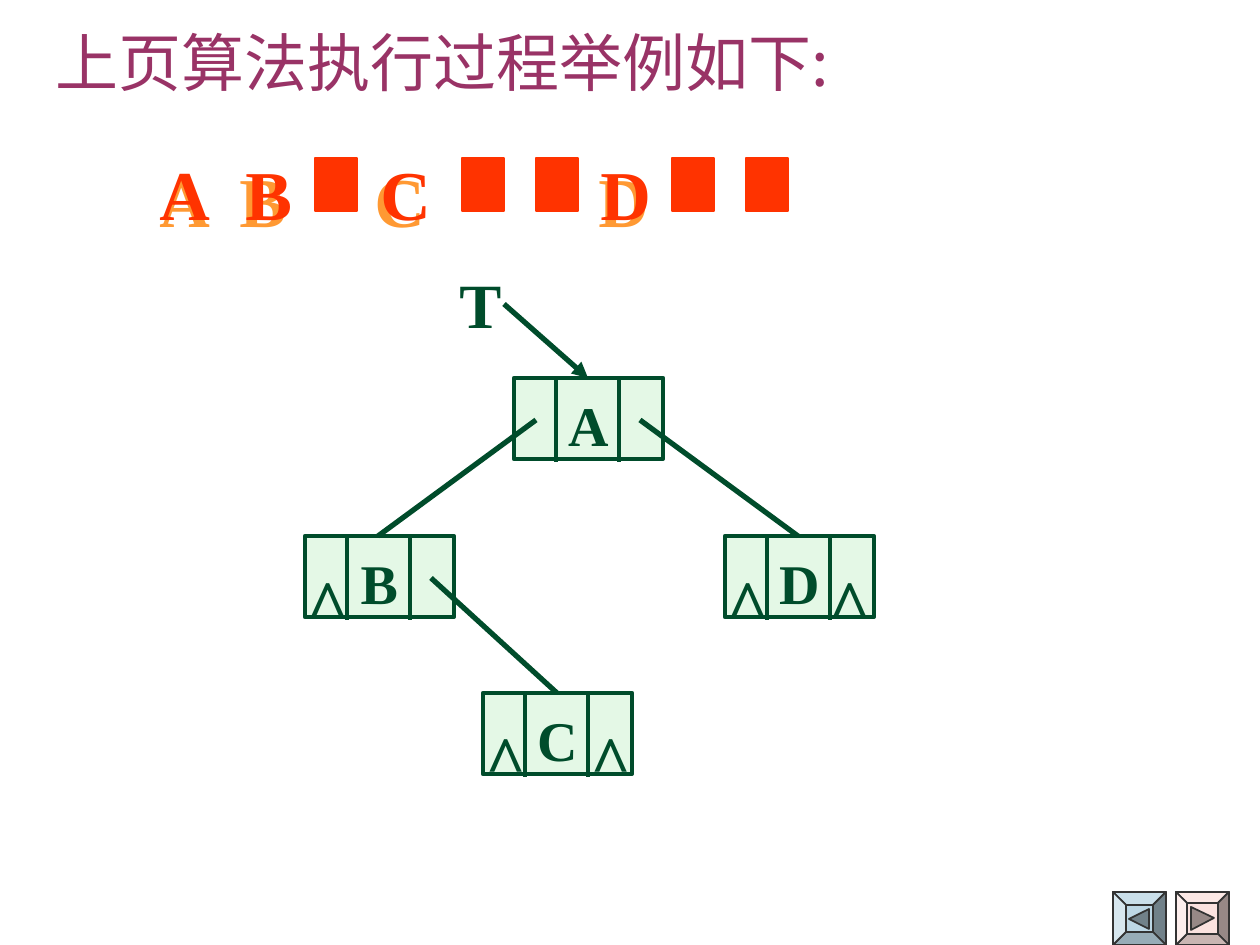
"""Build the slide that traces the binary tree construction algorithm."""
import pptx
import pptx.dml.color
import pptx.enum.shapes
import pptx.enum.text
import pptx.oxml
import pptx.oxml.ns
import pptx.util

RGB = pptx.dml.color.RGBColor
SHAPES = pptx.enum.shapes.MSO_SHAPE
ALIGN = pptx.enum.text.PP_ALIGN
PX = 914400 / 126

PLUM = RGB(0x99, 0x33, 0x66)
ORANGE = RGB(0xFF, 0x99, 0x33)
RED = RGB(0xFF, 0x33, 0x00)
GREEN = RGB(0x00, 0x4C, 0x2B)
MINT = RGB(0xCA, 0xF2, 0xCE)
CHARCOAL = RGB(0x33, 0x33, 0x33)
SERIF = "Times New Roman"
CHINESE = "Noto Sans CJK SC"

TITLE = "上页算法执行过程举例如下:"
ECHO_LETTERS = "A\tB\tC\tD"
ECHO_TABS = (80, 215, 439)
INPUT_LETTERS = [("A", 147, 76), ("B", 233, 72), ("C", 368, 76), ("D", 588, 76)]
BLANK_LEFTS = (315, 462, 536, 672, 746)
BLANK_TOP, BLANK_WIDTH, BLANK_HEIGHT = 158, 42, 53

NODE_WIDTH, NODE_HEIGHT = 149, 81
DIVIDER_OFFSETS, DIVIDER_LENGTH = (42, 105), 84
NODES = [
    ("A", 514, 378, ()),
    ("B", 305, 536, (-10,)),
    ("C", 483, 693, (-10, 95)),
    ("D", 725, 536, (-10, 92)),
]
LINKS = [
    ((536, 420), (378, 536)),
    ((431, 578), (557, 693)),
    ((640, 420), (798, 536)),
]

BUTTON_TOP, BUTTON_SIZE = 892, 53
BUTTONS = [
    (1113, 13, [(16, 27), (36, 17), (36, 37)],
     ("BDD7E5", "CADFEA", "718189", "97ACB7", "D7E7EF")),
    (1176, 11, [(15, 15), (38, 26), (15, 38)],
     ("FBE2DF", "FCE8E5", "978886", "C9B5B2", "FDEEEC")),
]

presentation = pptx.Presentation()
presentation.slide_width = pptx.util.Inches(10)
presentation.slide_height = pptx.util.Inches(7.5)
slide = presentation.slides.add_slide(presentation.slide_layouts[6])


def px(value):
    return pptx.util.Emu(round(value * PX))


def append_element(parent, tag, **attributes):
    element = parent.makeelement(pptx.oxml.ns.qn(tag), attributes)
    parent.append(element)
    return element


def write(shape, text, size, color, font=SERIF, inset=None, align=ALIGN.LEFT, tabs=(), wrap=False):
    frame = shape.text_frame
    frame.word_wrap = wrap
    frame.auto_size = pptx.enum.text.MSO_AUTO_SIZE.NONE
    frame.vertical_anchor = pptx.enum.text.MSO_ANCHOR.TOP
    frame.margin_top = px(6 + size * 0.2 if inset is None else inset)
    paragraph = frame.paragraphs[0]
    paragraph.text = text
    paragraph.alignment = align
    if tabs:
        tab_list = append_element(paragraph._p.get_or_add_pPr(), "a:tabLst")
        for position in tabs:
            append_element(tab_list, "a:tab", pos=str(px(position)), algn="l")
    paragraph.font.size = pptx.util.Pt(size)
    paragraph.font.name = font
    paragraph.font.bold = font == SERIF
    paragraph.font.color.rgb = color
    if font == CHINESE:
        append_element(paragraph.runs[0]._r.get_or_add_rPr(), "a:ea", typeface=font)


def add_text(left, top, width, height, text, size, color, **options):
    box = slide.shapes.add_textbox(px(left), px(top), px(width), px(height))
    write(box, text, size, color, **options)


def style(shape, fill, line, weight):
    shape.shadow.inherit = False
    shape.fill.solid()
    shape.fill.fore_color.rgb = fill
    shape.line.color.rgb = line
    shape.line.width = pptx.util.Pt(weight)


def add_box(left, top, width, height, fill, line, weight):
    shape = slide.shapes.add_shape(SHAPES.RECTANGLE, px(left), px(top), px(width), px(height))
    style(shape, fill, line, weight)
    return shape


def add_line(start, end, weight, arrow=False):
    connector = slide.shapes.add_connector(
        pptx.enum.shapes.MSO_CONNECTOR.STRAIGHT, *(px(value) for value in (*start, *end)))
    connector.line.color.rgb = GREEN
    connector.line.width = pptx.util.Pt(weight)
    properties = connector._element.spPr
    if arrow:
        append_element(properties.find(pptx.oxml.ns.qn("a:ln")), "a:tailEnd", type="triangle")
    append_element(properties, "a:effectLst")


def add_polygon(left, top, points, fill):
    points = [(left + x, top + y) for x, y in points]
    builder = slide.shapes.build_freeform(*points[0], scale=PX)
    builder.add_line_segments(points[1:], close=True)
    style(builder.convert_to_shape(), RGB.from_string(fill), CHARCOAL, 1)


def add_button(left, bevel, triangle, colors):
    near, back, far = bevel, BUTTON_SIZE - bevel, BUTTON_SIZE
    outer = [(0, 0), (far, 0), (far, far), (0, far)]
    inner = [(near, near), (back, near), (back, back), (near, back)]
    add_polygon(left, BUTTON_TOP, outer, colors[0])
    for side in range(4):
        following = (side + 1) % 4
        bevel_points = [outer[side], outer[following], inner[following], inner[side]]
        add_polygon(left, BUTTON_TOP, bevel_points, colors[side + 1])
    add_polygon(left, BUTTON_TOP, triangle, colors[2])


def add_node(letter, left, top, carets):
    box = add_box(left, top, NODE_WIDTH, NODE_HEIGHT, MINT, GREEN, 2.5)
    fill_color = box._element.spPr.find(".//" + pptx.oxml.ns.qn("a:srgbClr"))
    append_element(fill_color, "a:alpha", val="50000")
    write(box, letter, 32, GREEN, align=ALIGN.CENTER, wrap=True)
    for offset in DIVIDER_OFFSETS:
        add_line((left + offset, top), (left + offset, top + DIVIDER_LENGTH), 2.25)
    for offset in carets:
        add_text(left + offset, top + 9, 66, 97, "^", 40, GREEN)


for button in BUTTONS:
    add_button(*button)
add_text(147, 126, 840, 113, ECHO_LETTERS, 40, ORANGE, inset=32, tabs=ECHO_TABS, wrap=True)
for blank_left in BLANK_LEFTS:
    add_box(blank_left, BLANK_TOP, BLANK_WIDTH, BLANK_HEIGHT, RED, RED, 1)
for letter, left, width in INPUT_LETTERS:
    add_text(left, 136, width, 97, letter, 40, RED)
add_text(43, 28, 828, 88, TITLE, 36, PLUM, font=CHINESE, inset=-4)
for node in NODES:
    add_node(*node)
for start, end in LINKS:
    add_line(start, end, 3)
add_line((504, 304), (588, 378), 3, arrow=True)
add_text(447, 252, 67, 88, "T", 36, GREEN)

presentation.save("out.pptx")
